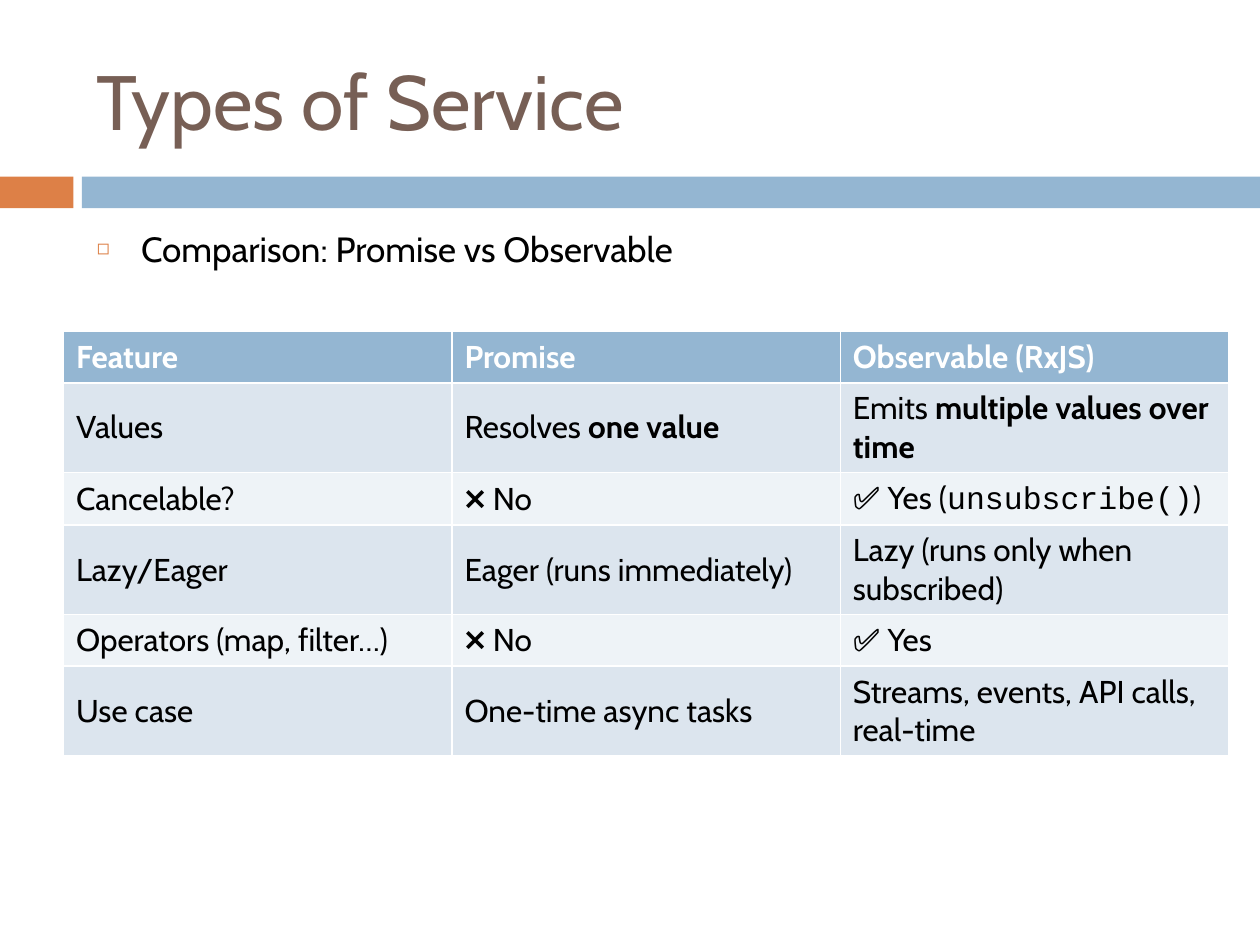
"""Build the slide comparing Promise and Observable."""
from lxml import etree
from pptx import Presentation
from pptx import util as u
from pptx.dml.color import RGBColor
from pptx.enum import shapes, text
from pptx.oxml import ns

TITLE = "Types of Service"
BULLET = "Comparison: Promise vs Observable"
BOLD = {"bold": True}
CODE = {"name": "Courier New"}
HEADER = ["Feature", "Promise", "Observable (RxJS)"]
ROWS = [
    ["Values", [("Resolves ", {}), ("one value", BOLD)],
     [("Emits ", {}), ("multiple values over time", BOLD)]],
    ["Cancelable?", "❌ No", [("✅ Yes (", {}), ("unsubscribe()", CODE), (")", {})]],
    ["Lazy/Eager", "Eager (runs immediately)", "Lazy (runs only when subscribed)"],
    ["Operators (map, filter…)", "❌ No", "✅ Yes"],
    ["Use case", "One-time async tasks", "Streams, events, API calls, real-time"],
]
ORANGE, BLUE, BROWN = "DD8047", "94B6D2", "775F55"
BANDS = ["DCE5EE", "EEF3F7"]
BARS = [(0, 1.48, ORANGE), (1.65, 23.75, BLUE)]
BAR_TOP, BAR_HEIGHT = 3.56, 0.64
TITLE_BOX = (1.7, 0.64, 22.66, 2.74)
BODY_BOX = (1.7, 4.45, 22.66, 12.5)
TABLE_BOX = (1.28, 6.68, 23.49, 6.25)
ROW_HEIGHT = 1.04
INDENT = u.Cm(0.89)


def color(value):
    return RGBColor.from_string(value)


def paint(item, value):
    item.fill.solid()
    item.fill.fore_color.rgb = color(value)


def apply(target, formats):
    for name, value in formats.items():
        setattr(target, name, value)


def write(paragraph, content, size, ink, bold=False):
    pieces = [(content, {})] if isinstance(content, str) else content
    for words, extra in pieces:
        run = paragraph.add_run()
        run.text = words
        apply(run.font, {"name": "Cabin", "size": u.Pt(size), "bold": bold, **extra})
        run.font.color.rgb = color(ink)


def fill_placeholder(shape, box, content, size, ink, anchor):
    apply(shape, dict(zip(("left", "top", "width", "height"), map(u.Cm, box))))
    apply(shape.text_frame, {"auto_size": text.MSO_AUTO_SIZE.NONE,
                             "vertical_anchor": anchor, "word_wrap": True})
    paragraph = shape.text_frame.paragraphs[0]
    apply(paragraph, {"alignment": text.PP_ALIGN.LEFT, "space_before": u.Pt(0)})
    write(paragraph, content, size, ink)
    return paragraph


def add_bullet(paragraph):
    properties = paragraph._p.get_or_add_pPr()
    properties.set("marL", str(INDENT))
    properties.set("indent", str(-INDENT))
    bullet_color = etree.SubElement(properties, ns.qn("a:buClr"))
    etree.SubElement(bullet_color, ns.qn("a:srgbClr"), val=ORANGE)
    etree.SubElement(properties, ns.qn("a:buSzPct"), val="60000")
    etree.SubElement(properties, ns.qn("a:buChar"), char="◻")


def add_bars(slide):
    for left, width, fill in BARS:
        bar = slide.shapes.add_shape(
            shapes.MSO_SHAPE.RECTANGLE, *map(u.Cm, (left, BAR_TOP, width, BAR_HEIGHT)))
        bar.shadow.inherit = False
        paint(bar, fill)
        bar.line.fill.background()


def add_comparison(slide):
    contents = [HEADER, *ROWS]
    table = slide.shapes.add_table(
        len(contents), len(HEADER), *map(u.Cm, TABLE_BOX)).table
    for row_index, values in enumerate(contents):
        is_header = row_index == 0
        fill = BLUE if is_header else BANDS[(row_index - 1) % 2]
        ink = "FFFFFF" if is_header else "000000"
        table.rows[row_index].height = u.Cm(ROW_HEIGHT)
        for column, content in enumerate(values):
            cell = table.cell(row_index, column)
            cell.vertical_anchor = text.MSO_ANCHOR.MIDDLE
            paint(cell, fill)
            write(cell.text_frame.paragraphs[0], content, 18, ink, is_header)


def main():
    presentation = Presentation()
    apply(presentation, {"slide_width": u.Cm(25.4), "slide_height": u.Cm(19.05)})
    slide = presentation.slides.add_slide(presentation.slide_layouts[1])
    add_bars(slide)
    fill_placeholder(slide.shapes.title, TITLE_BOX, TITLE, 44, BROWN,
                     text.MSO_ANCHOR.MIDDLE)
    add_bullet(fill_placeholder(slide.placeholders[1], BODY_BOX, BULLET, 20, "000000",
                                text.MSO_ANCHOR.TOP))
    add_comparison(slide)
    presentation.save("out.pptx")


if __name__ == "__main__":
    main()
